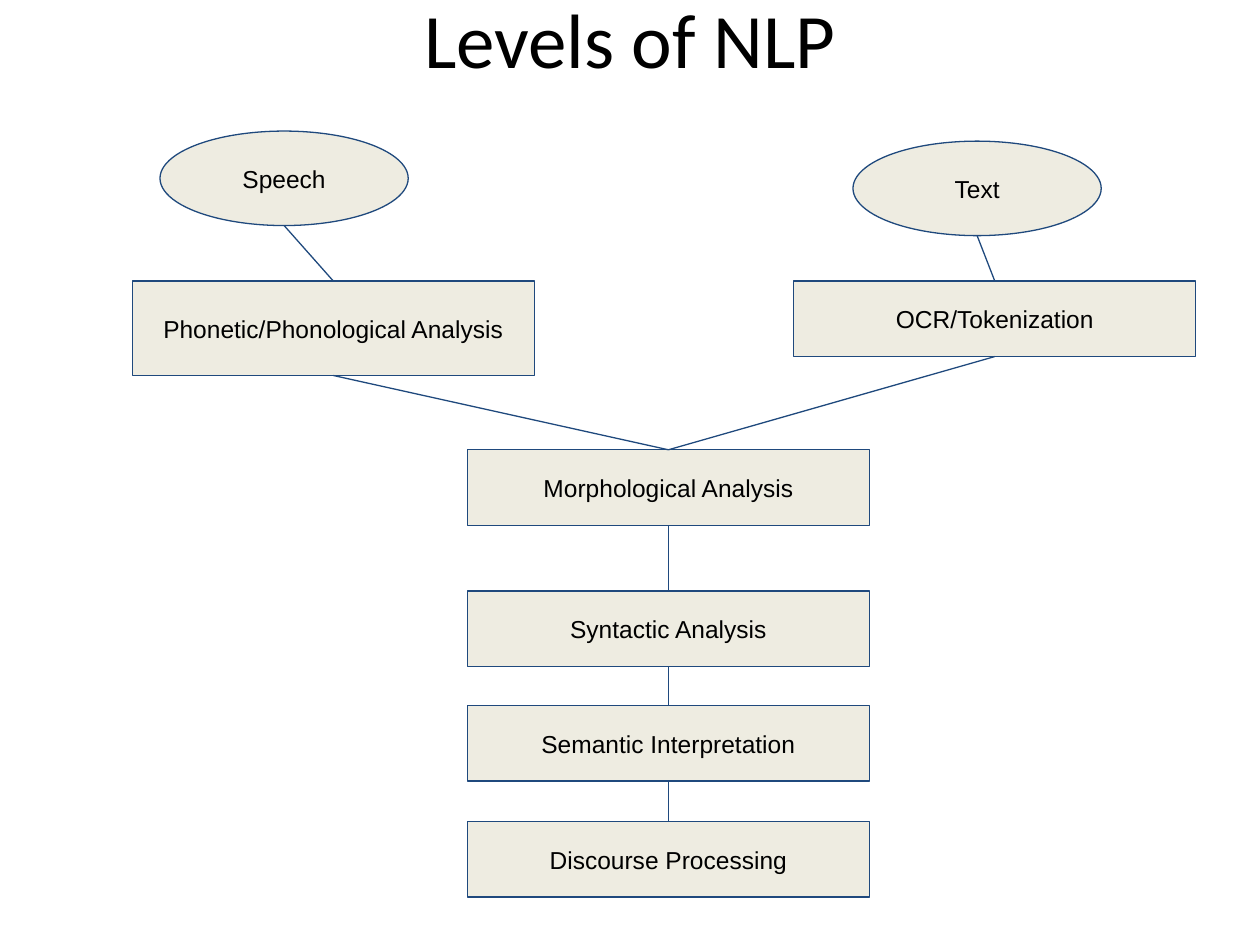
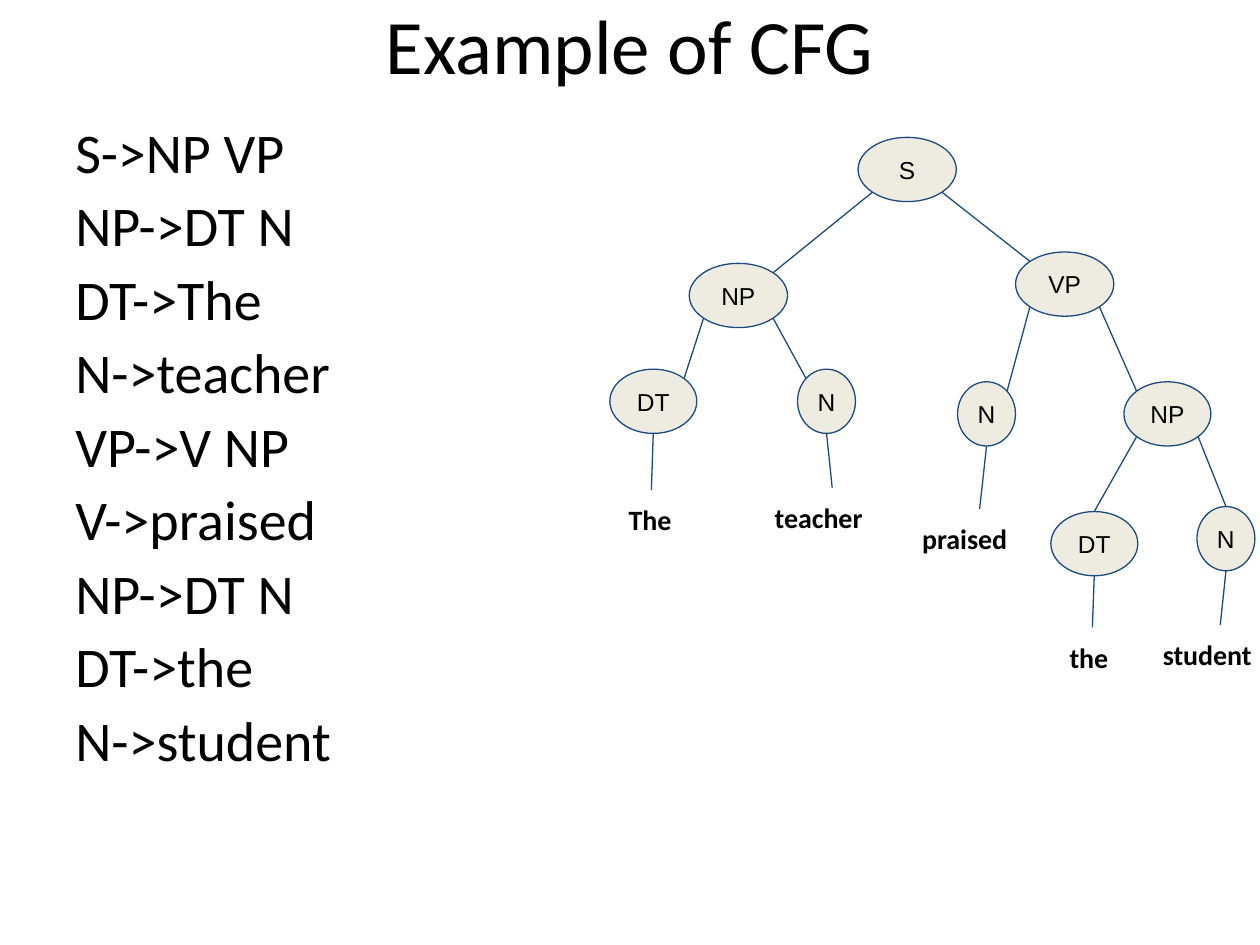
from dataclasses import dataclass

from lxml import etree
from pptx import Presentation
from pptx.dml.color import RGBColor
from pptx.enum.shapes import MSO_CONNECTOR, MSO_SHAPE, MSO_SHAPE_TYPE
from pptx.enum.text import MSO_ANCHOR, PP_ALIGN
from pptx.oxml.ns import qn
from pptx.util import Inches, Pt

ELLIPSE = MSO_SHAPE.OVAL
RECTANGLE = MSO_SHAPE.RECTANGLE
STRAIGHT = MSO_CONNECTOR.STRAIGHT
TEXT_BOX = MSO_SHAPE_TYPE.TEXT_BOX
MIDDLE = MSO_ANCHOR.MIDDLE
CENTER = PP_ALIGN.CENTER


@dataclass(frozen=True)
class Theme:
    text: RGBColor = RGBColor(0x00, 0x00, 0x00)
    fill: RGBColor = RGBColor(0xEE, 0xEC, 0xE1)
    line: RGBColor = RGBColor(0x1F, 0x49, 0x7D)
    background: RGBColor = RGBColor(0xFF, 0xFF, 0xFF)
    line_width: Pt = Pt(0.75)
    text_font: str = "Calibri"
    node_font: str = "Arial"
    title_size: Pt = Pt(44)
    rule_size: Pt = Pt(32)
    word_size: Pt = Pt(16)
    node_size: Pt = Pt(14)
    rule_gap: Pt = Pt(3.6)


THEME = Theme()

# Attachment points as fractions of a shape's width and height
DIAGONAL = 0.5 ** 0.5 / 2
NEAR, FAR = 0.5 - DIAGONAL, 0.5 + DIAGONAL
SITES = {
    "top": (0.5, 0), "bottom": (0.5, 1),
    "top left": (NEAR, NEAR), "top right": (FAR, NEAR),
    "bottom left": (NEAR, FAR), "bottom right": (FAR, FAR),
}
SIDE_INDEX = {"top": 0, "bottom": 2}


def add_node(slide, kind, label, left, top, width, height):
    """Add a labelled diagram node; kind None gives a bold leaf word."""
    box = [Inches(length) for length in (left, top, width, height)]
    if kind is None:
        shape = slide.shapes.add_textbox(*box)
    else:
        shape = slide.shapes.add_shape(kind, *box)
        shape.shadow.inherit = False
        shape.fill.solid()
        shape.fill.fore_color.rgb = THEME.fill
        shape.line.color.rgb = THEME.line
        shape.line.width = THEME.line_width
    frame = shape.text_frame
    frame.text = label
    frame.word_wrap = kind is None
    frame.margin_left = frame.margin_right = Inches(0.1)
    frame.margin_top = frame.margin_bottom = Inches(0.1)
    paragraph = frame.paragraphs[0]
    font = paragraph.runs[0].font
    font.color.rgb = THEME.text
    if kind is None:
        font.name, font.size, font.bold = THEME.text_font, THEME.word_size, True
    else:
        frame.vertical_anchor = MIDDLE
        paragraph.alignment = CENTER
        font.name, font.size = THEME.node_font, THEME.node_size
    return shape


def add_link(slide, start, start_site, end, end_site):
    """Draw a line between two sites, joined wherever an end is rectangular."""
    ends = ((start, start_site), (end, end_site))
    points = []
    for shape, site in ends:
        across, down = SITES[site]
        points += [round(shape.left + across * shape.width),
                   round(shape.top + down * shape.height)]
    connector = slide.shapes.add_connector(STRAIGHT, *points)
    connector.line.color.rgb = THEME.line
    connector.line.width = THEME.line_width
    etree.SubElement(connector.element.spPr, qn("a:effectLst"))
    for join, (shape, site) in zip((connector.begin_connect, connector.end_connect), ends):
        if shape.shape_type == TEXT_BOX or shape.auto_shape_type == RECTANGLE:
            join(shape, SIDE_INDEX[site])


presentation = Presentation()
presentation.slide_width = Inches(10)
presentation.slide_height = Inches(7.5)

# Slides with their titles
slides = []
for title, top in (("Levels of NLP", 0), ("Example of CFG", 0.05)):
    slide = presentation.slides.add_slide(presentation.slide_layouts[6])
    slide.background.fill.solid()
    slide.background.fill.fore_color.rgb = THEME.background
    title_box = slide.shapes.add_textbox(Inches(0.5), Inches(top), Inches(9), Inches(0.6))
    frame = title_box.text_frame
    frame.text = title
    frame.word_wrap = True
    frame.vertical_anchor = MIDDLE
    frame.paragraphs[0].alignment = CENTER
    font = frame.paragraphs[0].runs[0].font
    font.name, font.size = THEME.text_font, THEME.title_size
    font.color.rgb = THEME.text
    slides.append(slide)
levels_slide, grammar_slide = slides

# Levels: the two inputs and their first processing steps
STEP_WIDTH = 3.19
speech = add_node(levels_slide, ELLIPSE, "Speech", 1.27, 1.04, 1.97, 0.75)
text = add_node(levels_slide, ELLIPSE, "Text", 6.77, 1.12, 1.97, 0.75)
phonetic = add_node(levels_slide, RECTANGLE, "Phonetic/Phonological Analysis",
                    1.05, 2.23, STEP_WIDTH, 0.75)
tokens = add_node(levels_slide, RECTANGLE, "OCR/Tokenization", 6.3, 2.23, STEP_WIDTH, 0.6)

# Levels: the common chain of analyses
chain = [
    add_node(levels_slide, RECTANGLE, label, 3.71, top, STEP_WIDTH, 0.6)
    for label, top in (("Morphological Analysis", 3.57), ("Syntactic Analysis", 4.69),
                       ("Semantic Interpretation", 5.6), ("Discourse Processing", 6.52))
]
pairs = [(speech, phonetic), (text, tokens), (phonetic, chain[0]), (tokens, chain[0])]
for upper, lower in pairs + list(zip(chain, chain[1:])):
    add_link(levels_slide, upper, "bottom", lower, "top")

# Grammar: production rules
rules = ("S->NP VP", "NP->DT N", "DT->The", "N->teacher", "VP->V NP",
         "V->praised", "NP->DT N", "DT->the", "N->student")
rules_box = grammar_slide.shapes.add_textbox(Inches(0.5), Inches(0.88), Inches(9.5), Inches(5.39))
frame = rules_box.text_frame
frame.word_wrap = True
frame.text = "\n".join(rules)
for index, paragraph in enumerate(frame.paragraphs):
    if index:
        paragraph.space_before = THEME.rule_gap
    font = paragraph.runs[0].font
    font.name, font.size = THEME.text_font, THEME.rule_size
    font.color.rgb = THEME.text

# Grammar: parse tree nodes, sized by symbol
SYMBOL_HEIGHT = 0.51
PHRASE, SHORT, NOUN = 0.78, 0.69, 0.46
symbols = {
    "sentence": ("S", 6.81, 1.09, PHRASE),
    "subject": ("NP", 5.47, 2.09, PHRASE),
    "predicate": ("VP", 8.06, 2, PHRASE),
    "subject article": ("DT", 4.84, 2.93, SHORT),
    "subject noun": ("N", 6.33, 2.93, NOUN),
    "verb": ("N", 7.6, 3.03, NOUN),
    "object": ("NP", 8.92, 3.03, SHORT),
    "object article": ("DT", 8.34, 4.06, SHORT),
    "object noun": ("N", 9.5, 4.02, NOUN),
}
tree = {
    name: add_node(grammar_slide, ELLIPSE, label, left, top, width, SYMBOL_HEIGHT)
    for name, (label, left, top, width) in symbols.items()
}

# Grammar: branches
branches = (
    ("sentence", "bottom left", "subject", "top right"),
    ("sentence", "bottom right", "predicate", "top left"),
    ("subject", "bottom left", "subject article", "top right"),
    ("subject", "bottom right", "subject noun", "top left"),
    ("predicate", "bottom left", "verb", "top right"),
    ("predicate", "bottom right", "object", "top left"),
    ("object", "bottom left", "object article", "top"),
    ("object", "bottom right", "object noun", "top"),
)
for parent, parent_site, child, child_site in branches:
    add_link(grammar_slide, tree[parent], parent_site, tree[child], child_site)

# Grammar: words under the leaves
words = (
    ("subject article", "The", 4.89, 3.89, 0.56),
    ("subject noun", "teacher", 6.05, 3.87, 1.11),
    ("verb", "praised", 7.22, 4.04, 1.11),
    ("object article", "the", 8.39, 4.98, 0.56),
    ("object noun", "student", 9.13, 4.96, 1.11),
)
for parent, word, left, top, width in words:
    leaf = add_node(grammar_slide, None, word, left, top, width, 0.38)
    add_link(grammar_slide, tree[parent], "bottom", leaf, "top")

presentation.save("out.pptx")
